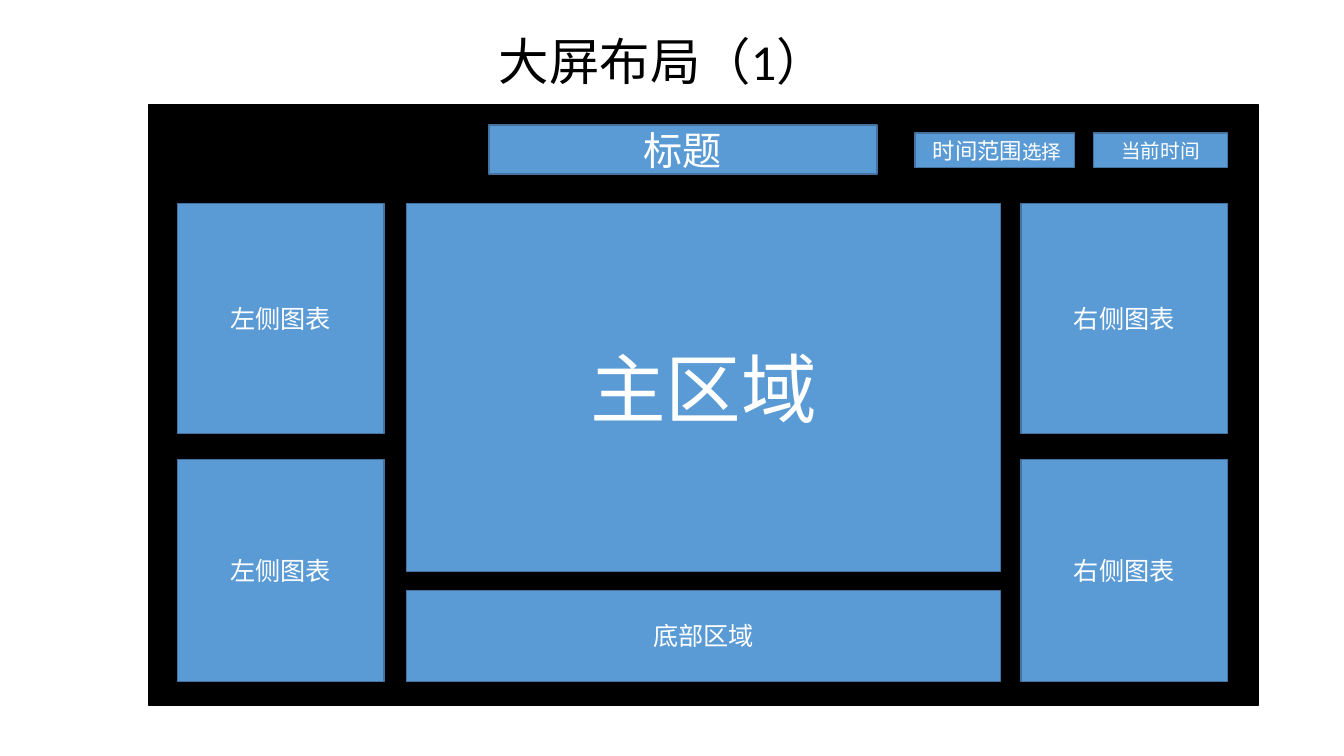
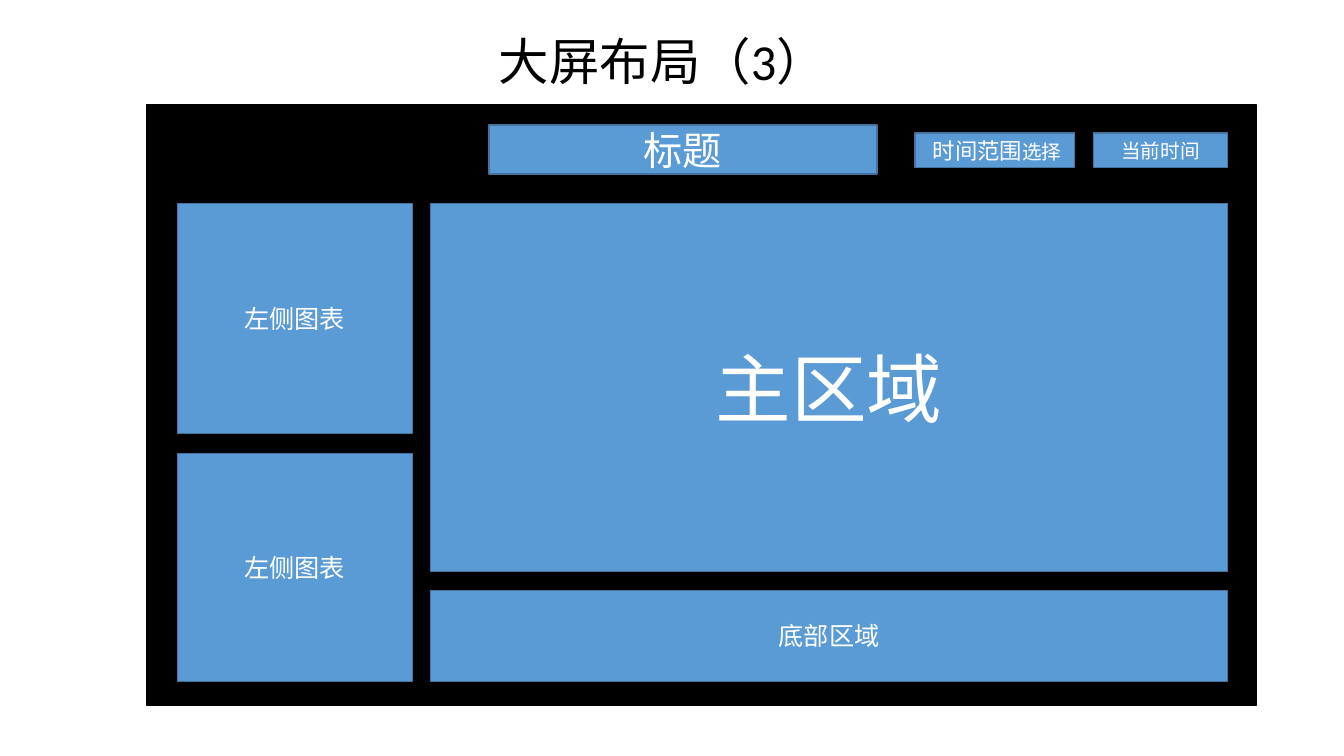
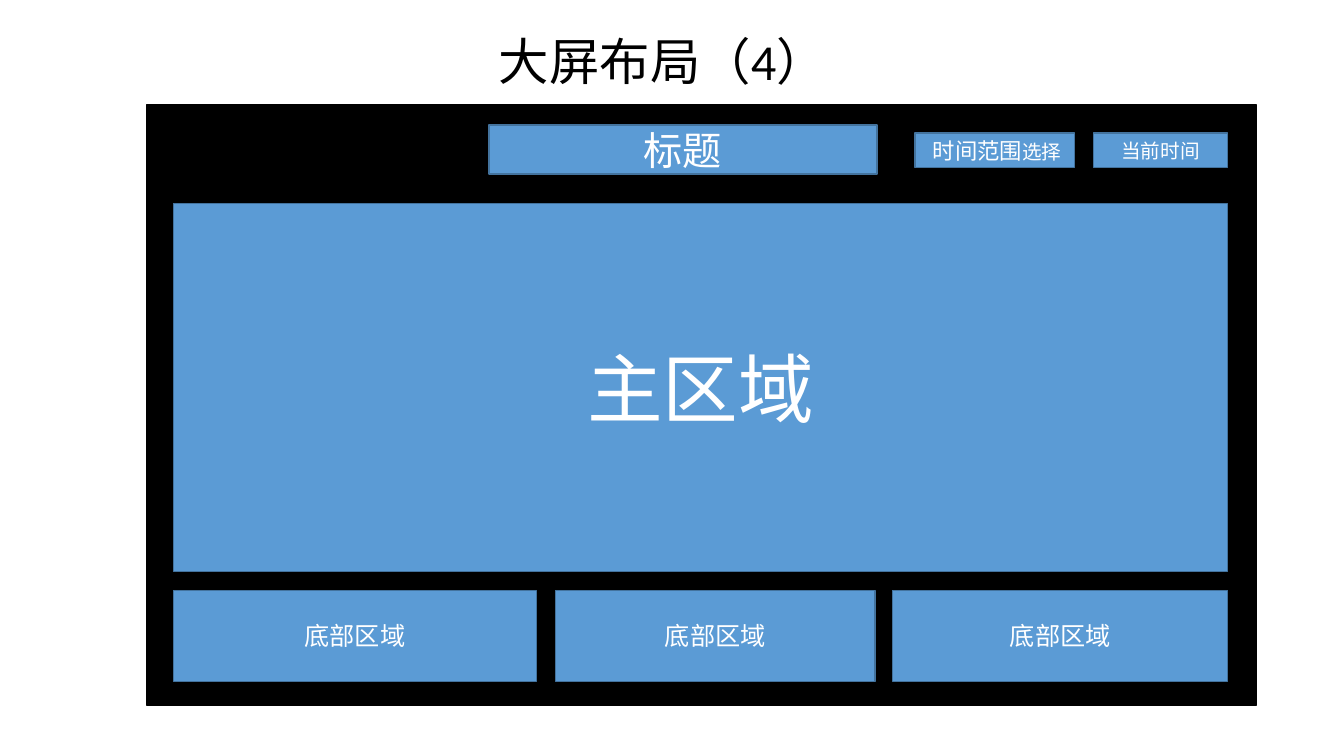
import pptx
import pptx.dml.color
import pptx.enum.shapes
import pptx.enum.text
import pptx.util

Cm = pptx.util.Cm
Pt = pptx.util.Pt
RGBColor = pptx.dml.color.RGBColor

BLACK = RGBColor(0x00, 0x00, 0x00)
WHITE = RGBColor(0xFF, 0xFF, 0xFF)
PANEL_BLUE = RGBColor(0x5B, 0x9B, 0xD5)
EDGE_BLUE = RGBColor(0x43, 0x73, 0x9E)
FONT = "Calibri"
TITLE_ONLY = 5

# Edges of the dashboard grid, in centimetres
RIGHT_EDGE = 30.94
LEFT_EDGE = 4.47
CONTENT_TOP = 5.13
UPPER_CHART_BOTTOM = 10.92
MAIN_BOTTOM = 14.4
FOOTER_TOP = 14.88
CONTENT_BOTTOM = 17.17


def add_run(paragraph, text, size, color):
    """Append one formatted run to a paragraph."""
    run = paragraph.add_run()
    run.text = text
    run.font.name = FONT
    run.font.size = Pt(size)
    run.font.color.rgb = color


def add_box(slide, left, top, right, bottom, fill, edge):
    """Draw a rectangle between the given edges, in centimetres."""
    box = slide.shapes.add_shape(
        pptx.enum.shapes.MSO_SHAPE.RECTANGLE,
        Cm(left), Cm(top), Cm(right - left), Cm(bottom - top))
    box.shadow.inherit = False
    box.fill.solid()
    box.fill.fore_color.rgb = fill
    box.line.color.rgb = edge
    box.line.width = Pt(1)
    return box


def add_panel(slide, left, top, right, bottom, *label):
    """Draw a blue panel whose centred label is a series of (text, size)."""
    panel = add_box(slide, left, top, right, bottom, PANEL_BLUE, EDGE_BLUE)
    frame = panel.text_frame
    frame.word_wrap = True
    frame.vertical_anchor = pptx.enum.text.MSO_ANCHOR.MIDDLE
    paragraph = frame.paragraphs[0]
    paragraph.alignment = pptx.enum.text.PP_ALIGN.CENTER
    for text, size in label:
        add_run(paragraph, text, size, WHITE)


def add_heading(slide, number):
    """Place and fill the slide title."""
    heading = slide.shapes.title
    heading.left, heading.top = Cm(12.32), Cm(0.64)
    heading.width, heading.height = Cm(11.4), Cm(1.8)
    frame = heading.text_frame
    frame.word_wrap = True
    frame.auto_size = pptx.enum.text.MSO_AUTO_SIZE.NONE
    frame.vertical_anchor = pptx.enum.text.MSO_ANCHOR.TOP
    paragraph = frame.paragraphs[0]
    paragraph.alignment = pptx.enum.text.PP_ALIGN.LEFT
    add_run(paragraph, f"大屏布局（{number}）", 36, BLACK)


def add_dashboard(deck, number, screen_left):
    """Add a slide with its heading, black screen and top bar."""
    slide = deck.slides.add_slide(deck.slide_layouts[TITLE_ONLY])
    add_heading(slide, number)
    add_box(slide, screen_left, 2.64, screen_left + 27.94, 17.78, BLACK, BLACK)
    add_panel(slide, 12.32, 3.15, 22.1, 4.39, ("标题", 28))
    add_panel(slide, 23.06, 3.35, 27.08, 4.22, (" 时间范围", 16), ("选择", 14))
    add_panel(slide, 27.56, 3.35, RIGHT_EDGE, 4.22, ("当前时间", 14))
    return slide


def add_main(slide, left, right):
    """Add the main area."""
    add_panel(slide, left, CONTENT_TOP, right, MAIN_BOTTOM, ("主区域", 54))


def add_footer(slide, left, right):
    """Add one area of the bottom row."""
    add_panel(slide, left, FOOTER_TOP, right, CONTENT_BOTTOM, ("底部区域", 18))


def add_chart_column(slide, left, right, lower_top, label):
    """Stack two chart areas in a side column."""
    rows = ((CONTENT_TOP, UPPER_CHART_BOTTOM), (lower_top, CONTENT_BOTTOM))
    for top, bottom in rows:
        add_panel(slide, left, top, right, bottom, (label, 18))


def build_two_sided(deck):
    """Layout with charts on both sides of the main area."""
    slide = add_dashboard(deck, 1, 3.76)
    add_main(slide, 10.24, 25.22)
    add_footer(slide, 10.24, 25.22)
    add_chart_column(slide, LEFT_EDGE, 9.68, 11.58, "左侧图表")
    add_chart_column(slide, 25.73, RIGHT_EDGE, 11.58, "右侧图表")


def build_left_sided(deck):
    """Layout with charts on the left only."""
    slide = add_dashboard(deck, 3, 3.71)
    add_main(slide, 10.85, RIGHT_EDGE)
    add_footer(slide, 10.85, RIGHT_EDGE)
    add_chart_column(slide, LEFT_EDGE, 10.39, 11.43, "左侧图表")


def build_full_width(deck):
    """Layout with a full-width main area above three bottom areas."""
    slide = add_dashboard(deck, 4, 3.71)
    add_main(slide, 4.37, RIGHT_EDGE)
    for left, right in ((4.37, 13.52), (14.0, 22.05), (22.5, RIGHT_EDGE)):
        add_footer(slide, left, right)


def main():
    """Build and save the deck."""
    deck = pptx.Presentation()
    deck.slide_width, deck.slide_height = Cm(33.87), Cm(19.05)
    build_two_sided(deck)
    build_left_sided(deck)
    build_full_width(deck)
    deck.save("out.pptx")


main()
